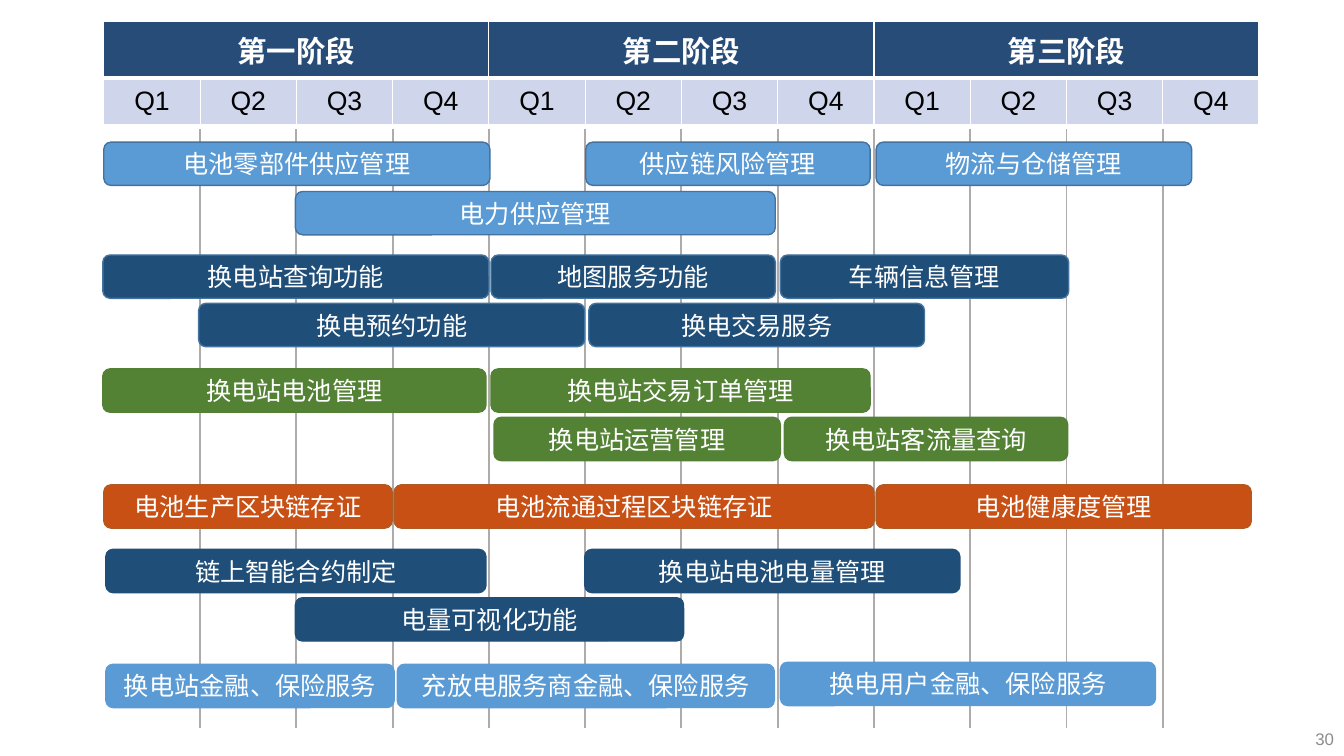
import lxml.etree
import pptx
import pptx.dml.color
import pptx.enum.shapes
import pptx.enum.text
import pptx.oxml.ns
import pptx.util

Inches = pptx.util.Inches
RGBColor = pptx.dml.color.RGBColor
ALIGN = pptx.enum.text.PP_ALIGN

WHITE = RGBColor(0xFF, 0xFF, 0xFF)
BLACK = RGBColor(0x00, 0x00, 0x00)
GRAY = RGBColor(0x8C, 0x8C, 0x8C)
GRID_GRAY = RGBColor(0xAF, 0xAB, 0xAB)
HEADER_BLUE = RGBColor(0x28, 0x4C, 0x78)
QUARTER_BLUE = RGBColor(0xCF, 0xD5, 0xEA)
LIGHT_BLUE = RGBColor(0x5B, 0x9B, 0xD5)
DARK_BLUE = RGBColor(0x1F, 0x4E, 0x79)
EDGE_BLUE = RGBColor(0x43, 0x73, 0x9E)
GREEN = RGBColor(0x54, 0x82, 0x35)
EDGE_GREEN = RGBColor(0x53, 0x80, 0x35)
ORANGE = RGBColor(0xC8, 0x50, 0x14)
EDGE_ORANGE = RGBColor(0xAF, 0x5C, 0x24)

LATIN_FONT = "Arial"
CHINESE_FONT = "Noto Sans CJK SC"
PHASES = ["第一阶段", "第二阶段", "第三阶段"]
QUARTERS = 4
COLUMNS = len(PHASES) * QUARTERS
BAR_HEIGHT = 0.43

WORKSTREAMS = [
    (LIGHT_BLUE, EDGE_BLUE, [
        ("电池零部件供应管理", 1.03, 1.41, 3.83),
        ("供应链风险管理", 5.81, 1.41, 2.82),
        ("物流与仓储管理", 8.69, 1.41, 3.13),
        ("电力供应管理", 2.93, 1.9, 4.76),
    ]),
    (DARK_BLUE, EDGE_BLUE, [
        ("换电站查询功能", 1.02, 2.53, 3.83),
        ("地图服务功能", 4.87, 2.53, 2.82),
        ("车辆信息管理", 7.74, 2.53, 2.86),
        ("换电预约功能", 1.97, 3.01, 3.83),
        ("换电交易服务", 5.84, 3.01, 3.33),
    ]),
    (GREEN, EDGE_GREEN, [
        ("换电站电池管理", 1.02, 3.66, 3.8),
        ("换电站交易订单管理", 4.87, 3.66, 3.76),
        ("换电站运营管理", 4.9, 4.14, 2.84),
        ("换电站客流量查询", 7.78, 4.14, 2.81),
    ]),
    (ORANGE, EDGE_ORANGE, [
        ("电池生产区块链存证", 1.03, 4.81, 2.86),
        ("电池流通过程区块链存证", 3.91, 4.81, 4.76),
        ("电池健康度管理", 8.69, 4.81, 3.72),
    ]),
    (DARK_BLUE, DARK_BLUE, [
        ("链上智能合约制定", 1.05, 5.45, 3.77),
        ("换电站电池电量管理", 5.8, 5.45, 3.72),
        ("电量可视化功能", 2.93, 5.93, 3.85),
    ]),
    (LIGHT_BLUE, LIGHT_BLUE, [
        ("换电站金融、保险服务", 1.05, 6.59, 2.86),
        ("充放电服务商金融、保险服务", 3.94, 6.59, 3.74),
        ("换电用户金融、保险服务", 7.74, 6.57, 3.72),
    ]),
]


def write_text(text_frame, text, size, color, font=LATIN_FONT, bold=False, align=ALIGN.CENTER):
    paragraph = text_frame.paragraphs[0]
    paragraph.alignment = align
    run = paragraph.add_run()
    run.text = text
    run.font.size = pptx.util.Pt(size)
    run.font.bold = bold
    run.font.color.rgb = color
    run.font.name = font
    east_asian = lxml.etree.SubElement(run.font._element, pptx.oxml.ns.qn("a:ea"))
    east_asian.set("typeface", CHINESE_FONT)


def set_borders(cell, **borders):
    properties = cell._tc.get_or_add_tcPr()
    for side in "LRTB":
        color, points = borders.get(side, (WHITE, 1))
        line = lxml.etree.SubElement(properties, pptx.oxml.ns.qn("a:ln" + side))
        line.set("w", str(int(pptx.util.Pt(points))))
        fill = lxml.etree.SubElement(line, pptx.oxml.ns.qn("a:solidFill"))
        lxml.etree.SubElement(fill, pptx.oxml.ns.qn("a:srgbClr")).set("val", str(color))


def add_grid(slide, box, row_heights):
    left, top, width, height = (Inches(length) for length in box)
    table = slide.shapes.add_table(len(row_heights), COLUMNS, left, top, width, height).table
    table.first_row = False
    table.horz_banding = False
    for column in table.columns:
        column.width = width // COLUMNS
    for row, row_height in zip(table.rows, row_heights):
        row.height = Inches(row_height)
    return table


def add_header(slide, box):
    table = add_grid(slide, box, [0.49, 0.47])
    divider = (WHITE, 3)
    for column in range(COLUMNS):
        phase_cell, quarter_cell = table.cell(0, column), table.cell(1, column)
        set_borders(phase_cell, B=divider)
        set_borders(quarter_cell, T=divider)
        for cell, color in ((phase_cell, HEADER_BLUE), (quarter_cell, QUARTER_BLUE)):
            cell.fill.solid()
            cell.fill.fore_color.rgb = color
            cell.vertical_anchor = pptx.enum.text.MSO_ANCHOR.MIDDLE
            cell.margin_left = cell.margin_right = Inches(0.13)
            cell.margin_top = cell.margin_bottom = Inches(0.07)
        write_text(quarter_cell.text_frame, f"Q{column % QUARTERS + 1}", 19, BLACK)
    for index, phase in enumerate(PHASES):
        first = index * QUARTERS
        cell = table.cell(0, first)
        cell.merge(table.cell(0, first + QUARTERS - 1))
        write_text(cell.text_frame, phase, 21, WHITE, bold=True)


def add_quarter_lines(slide, box):
    table = add_grid(slide, box, [box[3]])
    inner, outer = (GRID_GRAY, 1.5), (WHITE, 1)
    for column in range(COLUMNS):
        cell = table.cell(0, column)
        set_borders(
            cell,
            L=outer if column == 0 else inner,
            R=outer if column == COLUMNS - 1 else inner,
            B=(WHITE, 3),
        )
        cell.fill.background()


def add_bar(slide, box, text, fill_color, line_color):
    shape = slide.shapes.add_shape(
        pptx.enum.shapes.MSO_SHAPE.ROUNDED_RECTANGLE, *(Inches(length) for length in box)
    )
    shape.shadow.inherit = False
    shape.fill.solid()
    shape.fill.fore_color.rgb = fill_color
    shape.line.color.rgb = line_color
    shape.line.width = pptx.util.Pt(1)
    shape.text_frame.vertical_anchor = pptx.enum.text.MSO_ANCHOR.MIDDLE
    write_text(shape.text_frame, text, 18, WHITE, font=CHINESE_FONT)


def add_page_number(slide, box, number):
    shape = slide.shapes.add_textbox(*(Inches(length) for length in box))
    shape.text_frame.word_wrap = True
    shape.text_frame.vertical_anchor = pptx.enum.text.MSO_ANCHOR.MIDDLE
    write_text(shape.text_frame, number, 12, GRAY, align=ALIGN.RIGHT)


def main():
    presentation = pptx.Presentation()
    presentation.slide_width = Inches(13.33)
    presentation.slide_height = Inches(7.5)
    slide = presentation.slides.add_slide(presentation.slide_layouts[6])
    add_header(slide, (1.03, 0.21, 11.46, 0.96))
    add_quarter_lines(slide, (1.03, 1.29, 11.46, 5.91))
    for fill_color, line_color, bars in WORKSTREAMS:
        for text, left, top, width in bars:
            add_bar(slide, (left, top, width, BAR_HEIGHT), text, fill_color, line_color)
    add_page_number(slide, (10.38, 7.15, 2.95, 0.35), "30")
    presentation.save("out.pptx")


if __name__ == "__main__":
    main()
